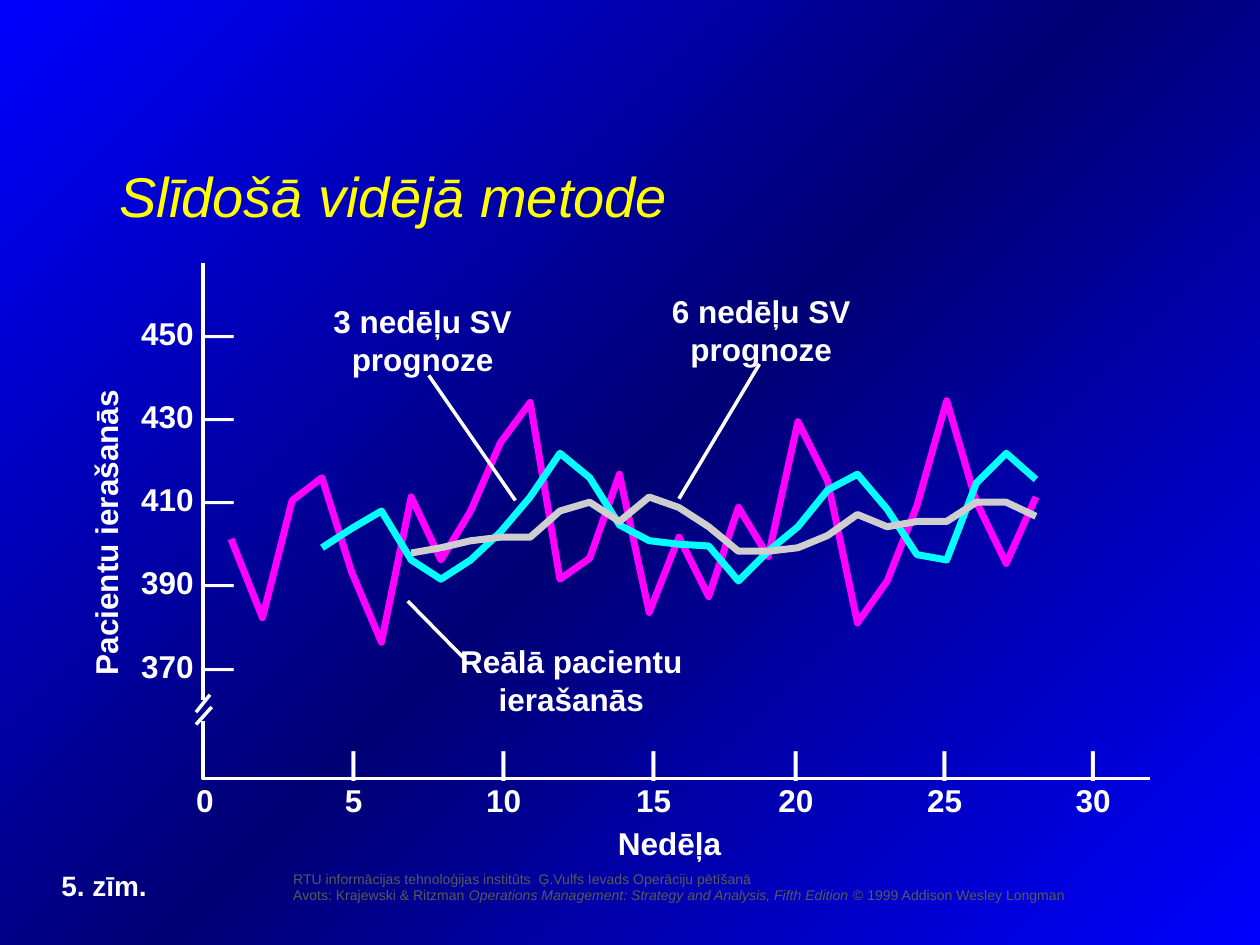
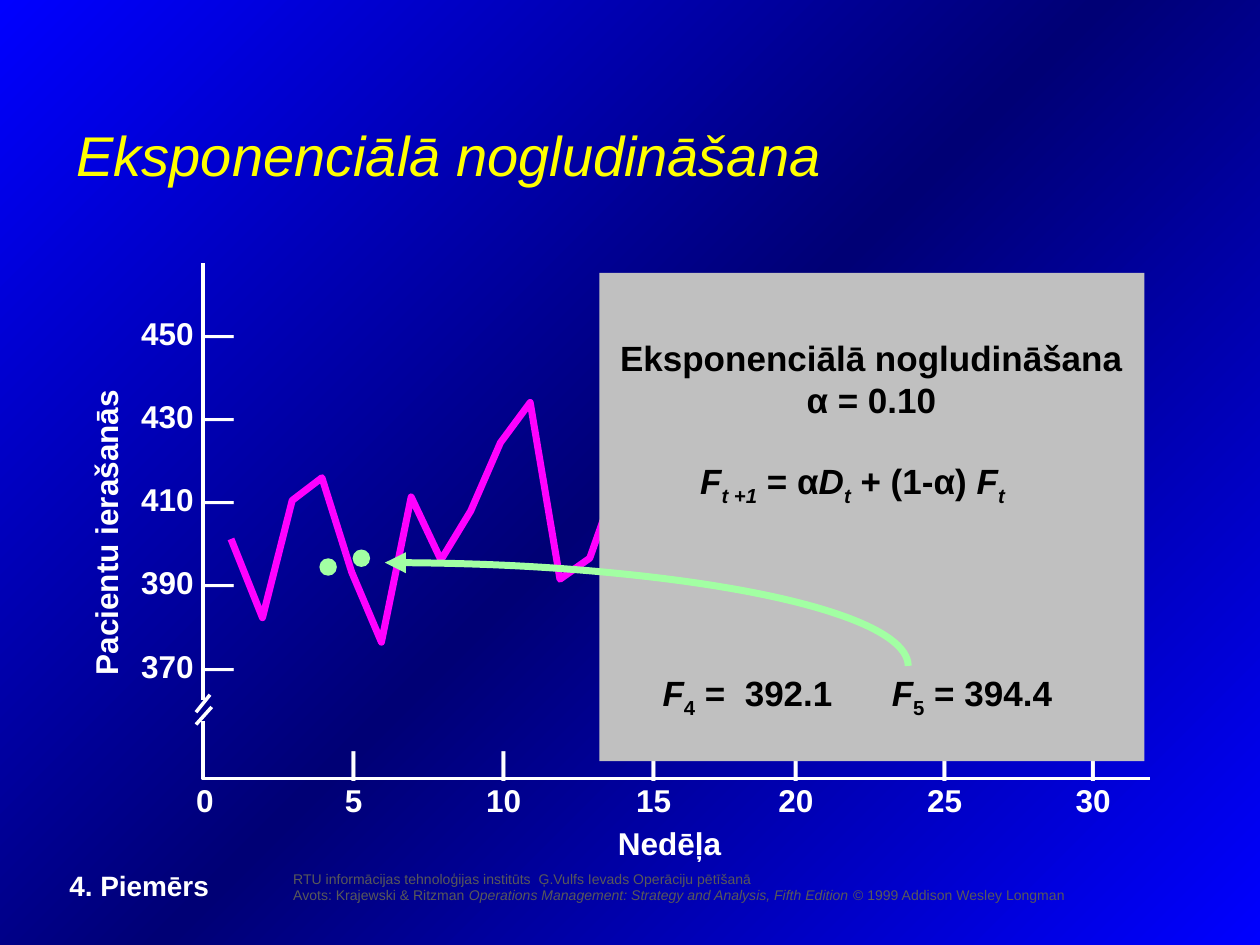
import collections

import lxml.etree
import pptx
import pptx.dml.color
import pptx.enum.dml
import pptx.enum.shapes
import pptx.enum.text
import pptx.oxml
import pptx.oxml.ns
import pptx.util

Pt = pptx.util.Pt
qn = pptx.oxml.ns.qn
Box = collections.namedtuple("Box", "left top width height")
LEFT = pptx.enum.text.PP_ALIGN.LEFT
CENTER = pptx.enum.text.PP_ALIGN.CENTER

WHITE, BLACK, YELLOW, GREY = "FFFFFF", "000000", "FFFF00", "595959"
MAGENTA, CYAN, SILVER = "FF00FF", "00FFFF", "CECECE"
PANEL_GREY, MINT = "C0C0C0", "A2FFA3"
BACKGROUND_STOPS = [(0, "0000FF"), (50, "000075"), (100, "0000FF")]

TITLE = {"name": "Arial", "size": 32, "color": YELLOW, "italic": True, "bold": False}
FOOTER = {"name": "Arial", "size": 8, "color": GREY}
CHART_TEXT = {"name": "Arial", "size": 18, "color": WHITE, "bold": True}
FIGURE_LABEL = {**CHART_TEXT, "size": 16}
PANEL_TEXT = {**CHART_TEXT, "size": 20, "color": BLACK}
ITALIC = {"italic": True}
SUBSCRIPT = {"baseline": -25000}
ITALIC_SUBSCRIPT = {**ITALIC, **SUBSCRIPT}

CHART_BOX = Box(116, 150, 541, 295)
PANEL_BOX = Box(342.5, 156, 311.5, 279)
FIRST_WEEK_X, WEEK_STEP = 16.5, 17.03
TOP_VALUE, TOP_VALUE_Y, POINTS_PER_PATIENT = 450, 42.2, 2.37
WEEK_TABS = [90, 175.7, 261.4, 342.7, 427.7, 512.6]

ARRIVALS = [
    401.1, 382.2, 410.5, 416, 393.2, 376.1, 411.1, 396.2, 408.1, 424.2, 433.9, 391.3, 396.5, 416.9,
    383.4, 401.7, 387.1, 408.7, 396.8, 429.3, 415, 380.7, 391, 409.3, 434.5, 410.2, 395.3, 411.4,
]
THREE_WEEK_AVERAGE = [
    398.9, 403.5, 407.8, 396.2, 391.3, 395.9, 402.9, 411.4, 421.7, 416, 404.4, 400.8, 399.8,
    399.5, 391, 398.3, 404.1, 412.9, 416.6, 408.4, 397.4, 395.9, 414.7, 422, 415.3,
]
SIX_WEEK_AVERAGE = [
    397.7, 399.2, 400.8, 401.7, 401.4, 408.1, 410.2, 405.3, 411.4, 408.7, 404.1,
    398.3, 398.3, 399.2, 402, 407.1, 404.1, 405.3, 405.3, 409.9, 409.9, 406.5,
]


def rgb(hex_color):
    return pptx.dml.color.RGBColor.from_string(hex_color)


def format_font(font, values):
    for name, value in values.items():
        if name == "color":
            font.color.rgb = rgb(value)
        elif name == "baseline":
            font._element.set("baseline", str(value))
        else:
            setattr(font, name, Pt(value) if name == "size" else value)


def place(shape, box):
    for name, value in box._asdict().items():
        setattr(shape, name, Pt(value))


def inside(parent, left, top, width, height):
    """Turn a box relative to its parent into slide coordinates."""
    return Box(parent.left + left, parent.top + top, width, height)


def add_tabs(paragraph, stops):
    """Add tab stops, given as (position, alignment) pairs."""
    tab_list = lxml.etree.SubElement(paragraph._p.get_or_add_pPr(), qn("a:tabLst"))
    for position, alignment in stops:
        lxml.etree.SubElement(tab_list, qn("a:tab"), pos=str(Pt(position)), algn=alignment)


def add_text(slide, box, paragraphs, text_format, alignment=LEFT, wrap=False, spacing=None, tabs=()):
    """Add a text box; a paragraph is a string or a list of (text, format) runs."""
    shape = slide.shapes.add_textbox(*map(Pt, box))
    frame = shape.text_frame
    frame.word_wrap = wrap
    for index, content in enumerate(paragraphs):
        paragraph = frame.paragraphs[0] if index == 0 else frame.add_paragraph()
        paragraph.alignment = alignment
        if spacing:
            paragraph.line_spacing = spacing
        if tabs:
            add_tabs(paragraph, tabs)
        for text, extra in [(content, {})] if isinstance(content, str) else content:
            run = paragraph.add_run()
            run.text = text
            format_font(run.font, {**text_format, **extra})
    return shape


def style_line(line, color, width):
    line.color.rgb = rgb(color)
    line.width = Pt(width)


def add_line(slide, box, start, end):
    points = [Pt(box[axis] + point[axis]) for point in (start, end) for axis in (0, 1)]
    connector = slide.shapes.add_connector(pptx.enum.shapes.MSO_CONNECTOR.STRAIGHT, *points)
    style_line(connector.line, WHITE, 2)
    lxml.etree.SubElement(connector._element.spPr, qn("a:effectLst"))


def add_polyline(slide, box, points, color, width):
    points = [(box.left + x, box.top + y) for x, y in points]
    builder = slide.shapes.build_freeform(*points[0], scale=float(Pt(1)))
    builder.add_line_segments(points[1:], close=False)
    shape = builder.convert_to_shape()
    shape.shadow.inherit = False
    shape.fill.background()
    style_line(shape.line, color, width)


def add_filled_shape(slide, kind, box, color):
    shape = slide.shapes.add_shape(kind, *map(Pt, box))
    shape.shadow.inherit = False
    shape.fill.solid()
    shape.fill.fore_color.rgb = rgb(color)
    shape.line.fill.background()


def add_series(slide, box, first_week, values, color):
    points = [
        (FIRST_WEEK_X + (week - 1) * WEEK_STEP, TOP_VALUE_Y + (TOP_VALUE - value) * POINTS_PER_PATIENT)
        for week, value in enumerate(values, first_week)
    ]
    add_polyline(slide, box, points, color, 4)


def add_axes(slide, box):
    add_line(slide, box, (0, 0.5), (0, 250))
    add_line(slide, box, (-4, 257), (4, 247))
    add_line(slide, box, (-4, 264), (5, 254))
    add_polyline(slide, box, [(0, 262), (0, box.height), (box.width, box.height)], WHITE, 2)
    value_labels = [f"{value} —" for value in range(450, 369, -20)]
    add_text(slide, inside(box, -42.5, 0, 68, 245), value_labels, CHART_TEXT, spacing=2.2)
    week_labels = ["\t|" * len(WEEK_TABS), "\t".join(str(week) for week in range(0, 31, 5))]
    add_text(slide, inside(box, -11, 271, 560, 50), week_labels, CHART_TEXT, wrap=True,
             tabs=[(position, "ctr") for position in WEEK_TABS])
    axis_title = add_text(slide, inside(box, -145, 118, 200, 50), ["Pacientu ierašanās"],
                          CHART_TEXT, wrap=True)
    axis_title.rotation = 270
    add_text(slide, inside(box, 230, 317.5, 95, 29), ["Nedēļa"], CHART_TEXT, wrap=True)


def add_callout(slide, box, label_box, lines, start, end):
    add_text(slide, inside(box, *label_box), lines, CHART_TEXT, CENTER)
    add_line(slide, box, start, end)


def add_smoothing_panel(slide, box):
    add_filled_shape(slide, pptx.enum.shapes.MSO_SHAPE.RECTANGLE, box, PANEL_GREY)
    add_text(slide, inside(box, 4.5, 32.5, 302, 55),
             ["Eksponenciālā nogludināšana", "α = 0.10"], PANEL_TEXT, CENTER)
    formula = [("F", ITALIC), ("t +1", ITALIC_SUBSCRIPT), (" = α", {}), ("D", ITALIC),
               ("t", ITALIC_SUBSCRIPT), (" + (1-α) ", {}), ("F", ITALIC), ("t", ITALIC_SUBSCRIPT)]
    add_text(slide, inside(box, 50.5, 103, 210, 34.5), [formula], PANEL_TEXT, wrap=True)
    forecasts = [("F", ITALIC), ("4", SUBSCRIPT), (" =\t392.1\t", {}),
                 ("F", ITALIC), ("5", SUBSCRIPT), (" = 394.4", {})]
    add_text(slide, inside(box, 29, 224, 250, 34.5), [forecasts], PANEL_TEXT, wrap=True,
             tabs=[(47, "l"), (131, "l")])
    add_forecast_arrow(slide, inside(box, -421.5, 165.5, 598, 118))


def add_forecast_arrow(slide, box):
    arc = slide.shapes.add_shape(pptx.enum.shapes.MSO_SHAPE.ARC, *map(Pt, box))
    arc.shadow.inherit = False
    arc.fill.background()
    style_line(arc.line, MINT, 4)
    lxml.etree.SubElement(arc.line._get_or_add_ln(), qn("a:headEnd"), type="triangle")


def set_background(master):
    fill = master.background.fill
    fill.gradient()
    gradient = master._element.cSld.find(".//" + qn("a:gradFill"))
    for child in list(gradient):
        gradient.remove(child)
    stops = lxml.etree.SubElement(gradient, qn("a:gsLst"))
    for position, color in BACKGROUND_STOPS:
        stop = lxml.etree.SubElement(stops, qn("a:gs"), pos=str(position * 1000))
        lxml.etree.SubElement(stop, qn("a:srgbClr"), val=color)
    lxml.etree.SubElement(gradient, qn("a:lin"), ang=str(225 * 60000), scaled="0")


def move_footer_to_master(slide, master):
    """Build the footer once and hand it to the master, so every slide shows it."""
    lines = [
        "RTU informācijas tehnoloģijas institūts  Ģ.Vulfs Ievads Operāciju pētīšanā",
        [("Avots: Krajewski & Ritzman ", {}),
         ("Operations Management: Strategy and Analysis, Fifth Edition", ITALIC),
         (" © 1999 Addison Wesley Longman", {})],
    ]
    footer = add_text(slide, Box(160.5, 493.7, 559.5, 26.5), lines, FOOTER, wrap=True)
    footer._element.nvSpPr.cNvPr.set("id", "20")
    master.shapes._spTree.append(footer._element)


def add_chart_slide(presentation, title, title_position, label, label_left):
    slide = presentation.slides.add_slide(presentation.slide_layouts[5])
    heading = slide.shapes.title
    place(heading, Box(*title_position, 552, 72))
    heading.text_frame.text = title
    heading.text_frame.vertical_anchor = pptx.enum.text.MSO_ANCHOR.MIDDLE
    paragraph = heading.text_frame.paragraphs[0]
    paragraph.alignment = LEFT
    format_font(paragraph.runs[0].font, TITLE)
    add_series(slide, CHART_BOX, 1, ARRIVALS, MAGENTA)
    add_axes(slide, CHART_BOX)
    add_text(slide, Box(label_left, 492.5, 110, 26.5), [label], FIGURE_LABEL, wrap=True)
    return slide


def add_moving_average_slide(presentation):
    slide = add_chart_slide(presentation, "Slīdošā vidējā metode", (61, 75.5), "5. zīm.", 28)
    add_series(slide, CHART_BOX, 4, THREE_WEEK_AVERAGE, CYAN)
    add_series(slide, CHART_BOX, 7, SIX_WEEK_AVERAGE, SILVER)
    add_callout(slide, CHART_BOX, (130.5, 213.5, 160, 50), ["Reālā pacientu", "ierašanās"],
                (117, 193.5), (149, 226))
    add_callout(slide, CHART_BOX, (57, 19, 137, 50), ["3 nedēļu SV", "prognoze"],
                (129, 64.5), (178.5, 136))
    add_callout(slide, CHART_BOX, (250.5, 13.5, 137, 50), ["6 nedēļu SV", "prognoze"],
                (318, 58), (272, 135))
    return slide


def add_smoothing_slide(presentation):
    slide = add_chart_slide(presentation, "Eksponenciālā nogludināšana", (36.5, 52), "4. Piemērs", 32.5)
    for left, top in [(66.5, 169), (85.5, 164)]:
        dot = inside(CHART_BOX, left, top, 10, 10)
        add_filled_shape(slide, pptx.enum.shapes.MSO_SHAPE.OVAL, dot, MINT)
    add_smoothing_panel(slide, PANEL_BOX)


def main():
    presentation = pptx.Presentation()
    presentation.slide_width, presentation.slide_height = Pt(720), Pt(540)
    set_background(presentation.slide_master)
    first_slide = add_moving_average_slide(presentation)
    move_footer_to_master(first_slide, presentation.slide_master)
    add_smoothing_slide(presentation)
    presentation.save("out.pptx")


if __name__ == "__main__":
    main()
